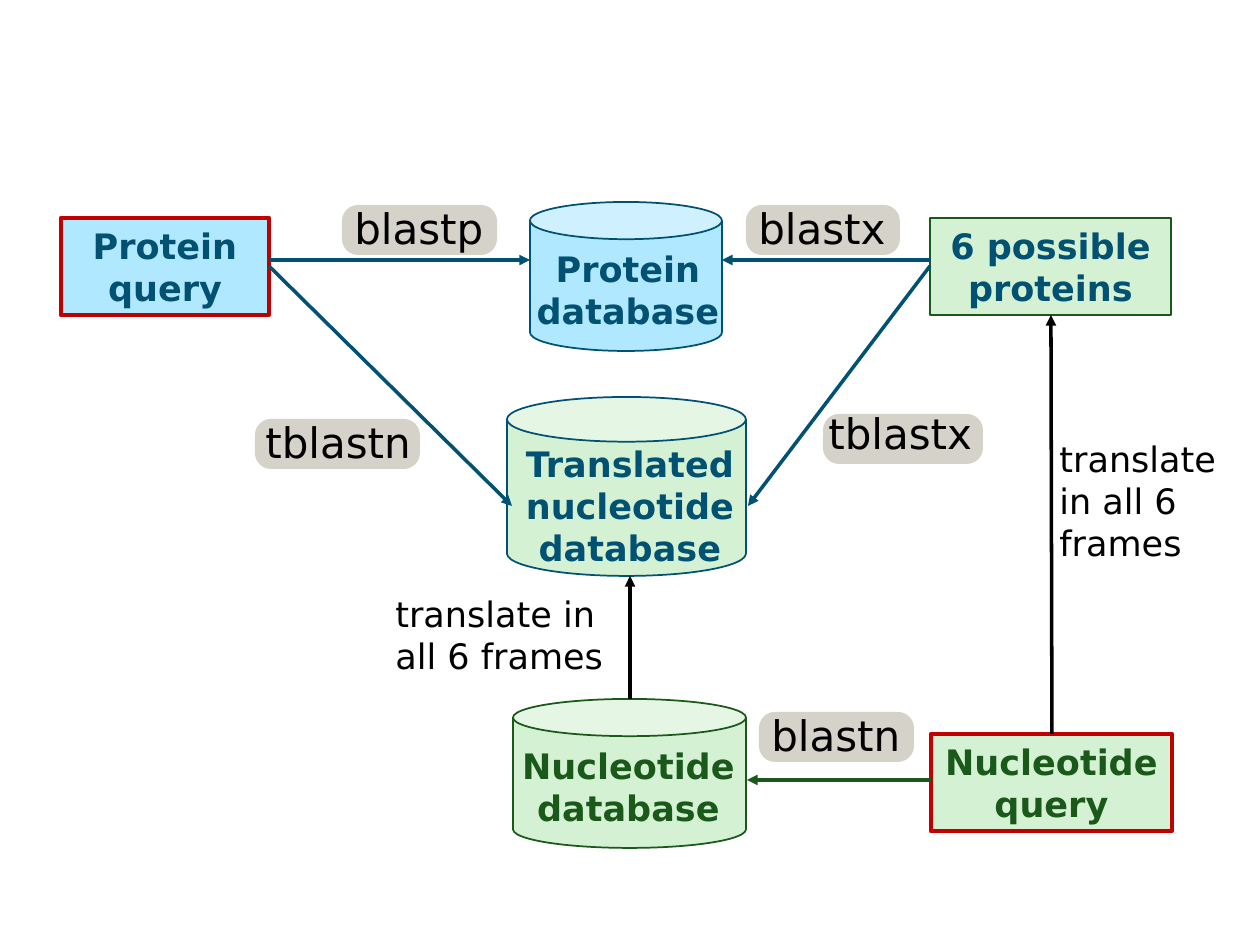
from lxml import etree
from pptx import Presentation
from pptx.dml.color import RGBColor
from pptx.enum.shapes import MSO_CONNECTOR, MSO_SHAPE
from pptx.enum.text import MSO_ANCHOR, PP_ALIGN
from pptx.oxml.ns import qn
from pptx.util import Emu, Pt

PX = 914400 / 126
FONT = "DejaVu Sans"
CAN, RECTANGLE, PILL = MSO_SHAPE.CAN, MSO_SHAPE.RECTANGLE, MSO_SHAPE.ROUNDED_RECTANGLE
STRAIGHT = MSO_CONNECTOR.STRAIGHT
CENTER, LEFT = PP_ALIGN.CENTER, PP_ALIGN.LEFT
TOP = MSO_ANCHOR.TOP
COLORS = {
    "protein": "B0E8FF",
    "nucleotide": "D4F2D3",
    "blue": "005172",
    "green": "1A5919",
    "query": "C00000",
    "pill": "D5D2CA",
    "black": "000000",
}


def color(name):
    return RGBColor.from_string(COLORS[name])


def px(*lengths):
    return [Emu(round(length * PX)) for length in lengths]


def write_text(shape, text, text_color, size=20, bold=False, align=LEFT,
               spacing=None):
    frame = shape.text_frame
    frame.word_wrap = True
    frame.vertical_anchor = TOP
    paragraph = frame.paragraphs[0]
    paragraph.alignment = align
    paragraph.line_spacing = spacing
    run = paragraph.add_run()
    run.text = text
    for name, value in {"name": FONT, "size": Pt(size), "bold": bold}.items():
        setattr(run.font, name, value)
    run.font.color.rgb = color(text_color)


def add_filled(slide, kind, box, fill, line=None, width=1):
    shape = slide.shapes.add_shape(kind, *px(*box))
    shape.shadow.inherit = False
    shape.fill.solid()
    shape.fill.fore_color.rgb = color(fill)
    if line:
        shape.line.color.rgb = color(line)
        shape.line.width = Pt(width)
    else:
        shape.line.fill.background()
    return shape


def add_label(slide, box, text, text_color="black", **format_values):
    label = slide.shapes.add_textbox(*px(*box))
    write_text(label, text, text_color, **format_values)


def add_sequence(slide, box, text, fill, text_color, line, width):
    shape = add_filled(slide, RECTANGLE, box, fill, line, width)
    write_text(shape, text, text_color, bold=True, align=CENTER)


def add_database(slide, box, text, fill, ink, label_shift, label_width):
    """Draw a cylinder with its name written below the lid."""
    left, top, _, height = box
    add_filled(slide, CAN, box, fill, ink)
    label_box = (left + label_shift, top + 39, label_width, height - 39)
    add_label(slide, label_box, text, ink, bold=True, align=CENTER)


def add_program(slide, box, text, text_shift):
    """Draw a grey pill with a search program's name in a slightly wider box."""
    left, top, width, height = box
    pill = add_filled(slide, PILL, box, "pill")
    pill.adjustments[0] = 0.32
    shift_x, shift_y = text_shift
    label_box = (left + shift_x, top + shift_y, width + 20, height - 5)
    add_label(slide, label_box, text, size=24, spacing=Pt(18))


def add_arrow(slide, start, end, line):
    arrow = slide.shapes.add_connector(STRAIGHT, *px(*start, *end))
    arrow.line.color.rgb = color(line)
    arrow.line.width = Pt(2)
    etree.SubElement(arrow.line._get_or_add_ln(), qn("a:tailEnd"), type="triangle")
    etree.SubElement(arrow._element.spPr, qn("a:effectLst"))


def build_diagram(slide):
    sequences = [
        ((61, 218, 208, 97), "Protein query", "protein", "blue", "query", 2.5),
        ((930, 218, 241, 97), "6 possible proteins", "nucleotide", "blue", "green", 0.75),
        ((931, 734, 241, 97), "Nucleotide query", "nucleotide", "green", "query", 2.5),
    ]
    databases = [
        ((530, 202, 192, 149), "Protein database", "protein", "blue", -14, 224),
        ((507, 397, 239, 179), "Translated nucleotide database", "nucleotide", "blue", 4, 238),
        ((513, 699, 233, 149), "Nucleotide database", "nucleotide", "green", -5, 241),
    ]
    programs = [
        ((342, 205, 155, 50), "blastp", (0, 10)),
        ((746, 205, 154, 50), "blastx", (0, 10)),
        ((255, 419, 165, 50), "tblastn", (-2, 10)),
        ((823, 414, 160, 50), "tblastx", (-7, 6)),
        ((759, 712, 155, 50), "blastn", (0, 10)),
    ]
    arrows = [
        ((269, 260), (530, 260), "blue"),
        ((931, 260), (722, 260), "blue"),
        ((269, 266), (512, 506), "blue"),
        ((930, 266), (748, 506), "blue"),
        ((931, 780), (747, 780), "green"),
        ((630, 699), (630, 576), "black"),
        ((1052, 734), (1051, 315), "black"),
    ]
    for draw, items in (
        (add_sequence, sequences),
        (add_database, databases),
        (add_program, programs),
        (add_arrow, arrows),
    ):
        for item in items:
            draw(slide, *item)
    for box in ((1047, 431, 185, 140), (383, 586, 241, 97)):
        add_label(slide, box, "translate in all 6 frames")


def main():
    presentation = Presentation()
    presentation.slide_width, presentation.slide_height = px(1260, 945)
    slide = presentation.slides.add_slide(presentation.slide_layouts[6])
    build_diagram(slide)
    presentation.save("out.pptx")


if __name__ == "__main__":
    main()
